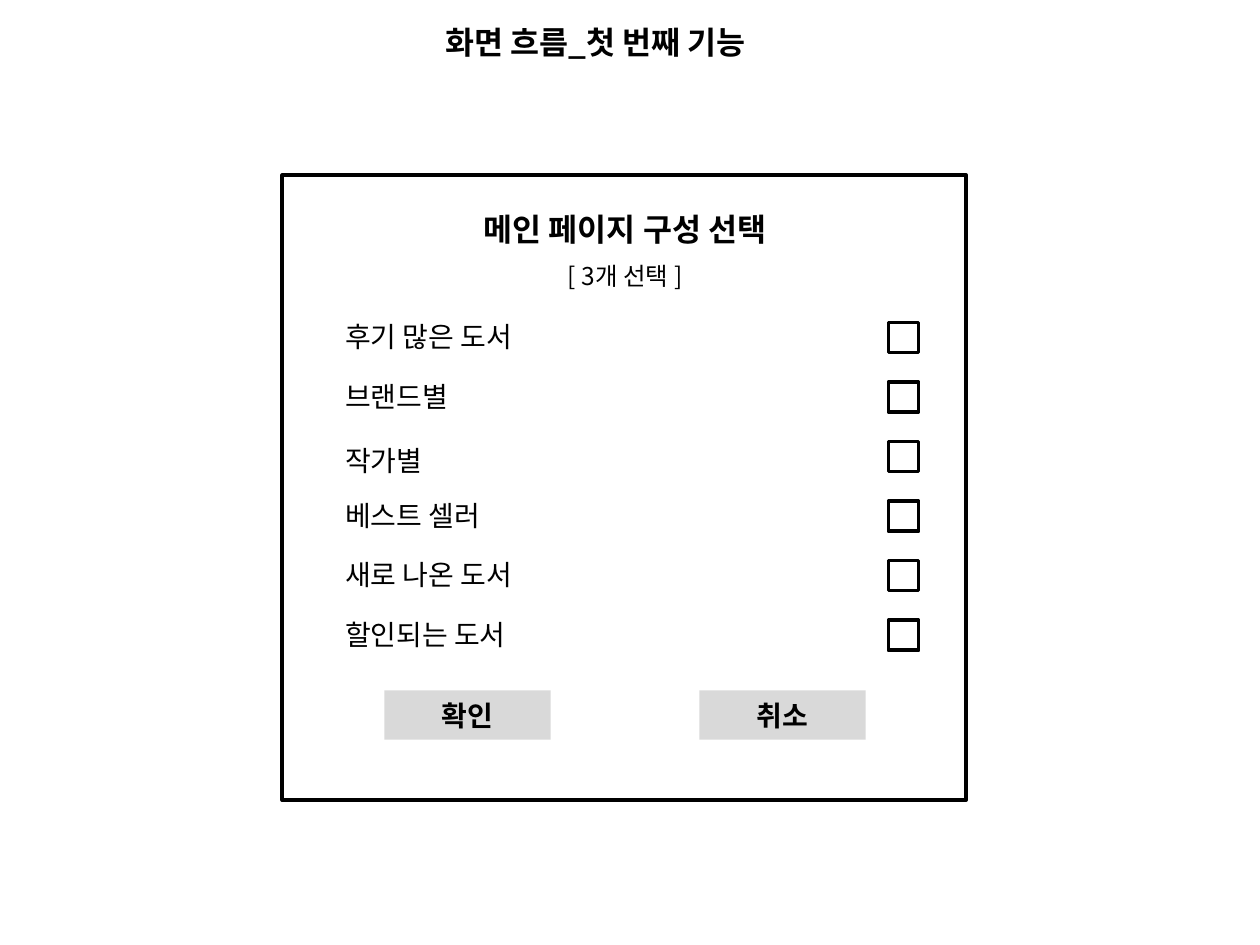
from lxml import etree
from pptx import Presentation
from pptx import util as u
from pptx.dml.color import RGBColor
from pptx.enum import shapes, text
from pptx.oxml.ns import qn

FONT = "Noto Sans CJK KR"
BLACK, GREY = "000000", "D9D9D9"
CENTER, LEFT = text.PP_ALIGN.CENTER, text.PP_ALIGN.LEFT

TITLE = "화면 흐름_첫 번째 기능"
HEADINGS = [
    ("메인 페이지 구성 선택", (6.2, 4.11, 12.8, 1.02), 18, True),
    ("[ 3개 선택 ]", (7.75, 5.13, 9.7, 0.86), 14, False),
]
OPTIONS = [
    ("후기 많은 도서", 0),
    ("브랜드별", 0),
    ("작가별", 0.09),
    ("베스트 셀러", 0),
    ("새로 나온 도서", 0),
    ("할인되는 도서", 0),
]
BUTTONS = ["확인", "취소"]

FRAME = (5.69, 3.53, 13.79, 12.6)
TITLE_PLACE = (5.6, 0.33, 12.8, 1.02)
LABEL_LEFT, LABEL_TOP, LABEL_SIZE = 6.71, 6.32, (9.7, 0.94)
CHECK_LEFT, CHECK_TOP, CHECK_SIDE = 17.91, 6.5, 0.61
ROW_PITCH = 1.2
BUTTON_LEFT, BUTTON_TOP, BUTTON_SIZE, BUTTON_PITCH = 7.75, 13.92, (3.35, 0.99), 6.35


def color(value):
    return RGBColor.from_string(value)


def lengths(place):
    return [u.Cm(value) for value in place]


def write(box, words, size, bold=False, align=CENTER, anchor=text.MSO_ANCHOR.TOP):
    frame = box.text_frame
    settings = {"word_wrap": True, "vertical_anchor": anchor,
                "auto_size": text.MSO_AUTO_SIZE.NONE}
    for name, value in settings.items():
        setattr(frame, name, value)
    para = frame.paragraphs[0]
    para.alignment = align
    span = para.add_run()
    span.text = words
    for name, value in {"name": FONT, "size": u.Pt(size), "bold": bold}.items():
        setattr(span.font, name, value)
    span.font.color.rgb = color(BLACK)
    etree.SubElement(span._r.get_or_add_rPr(), qn("a:ea"), typeface=FONT)


def add_text(page, place, words, size, **options):
    write(page.shapes.add_textbox(*lengths(place)), words, size, **options)


def add_box(page, place, fill=None, line=None):
    box = page.shapes.add_shape(shapes.MSO_SHAPE.RECTANGLE, *lengths(place))
    box.shadow.inherit = False
    if fill:
        box.fill.solid()
        box.fill.fore_color.rgb = color(fill)
    else:
        box.fill.background()
    if line:
        box.line.color.rgb = color(line)
        box.line.width = u.Pt(2)
    else:
        box.line.fill.background()
    return box


def main():
    deck = Presentation()
    deck.slide_width, deck.slide_height = u.Cm(25.4), u.Cm(19.05)
    page = deck.slides.add_slide(deck.slide_layouts[5])

    title = page.shapes.title
    for name, value in zip(("left", "top", "width", "height"), lengths(TITLE_PLACE)):
        setattr(title, name, value)
    write(title, TITLE, 18, bold=True)

    add_box(page, FRAME, line=BLACK)
    for words, place, size, bold in HEADINGS:
        add_text(page, place, words, size, bold=bold)

    for row, (words, nudge) in enumerate(OPTIONS):
        drop = row * ROW_PITCH
        add_text(page, (LABEL_LEFT, LABEL_TOP + drop + nudge, *LABEL_SIZE),
                 words, 16, align=LEFT)
        add_box(page, (CHECK_LEFT, CHECK_TOP + drop, CHECK_SIDE, CHECK_SIDE), line=BLACK)

    for column, words in enumerate(BUTTONS):
        left = BUTTON_LEFT + column * BUTTON_PITCH
        button = add_box(page, (left, BUTTON_TOP, *BUTTON_SIZE), fill=GREY)
        write(button, words, 16, bold=True, anchor=text.MSO_ANCHOR.MIDDLE)

    deck.save("out.pptx")


if __name__ == "__main__":
    main()
